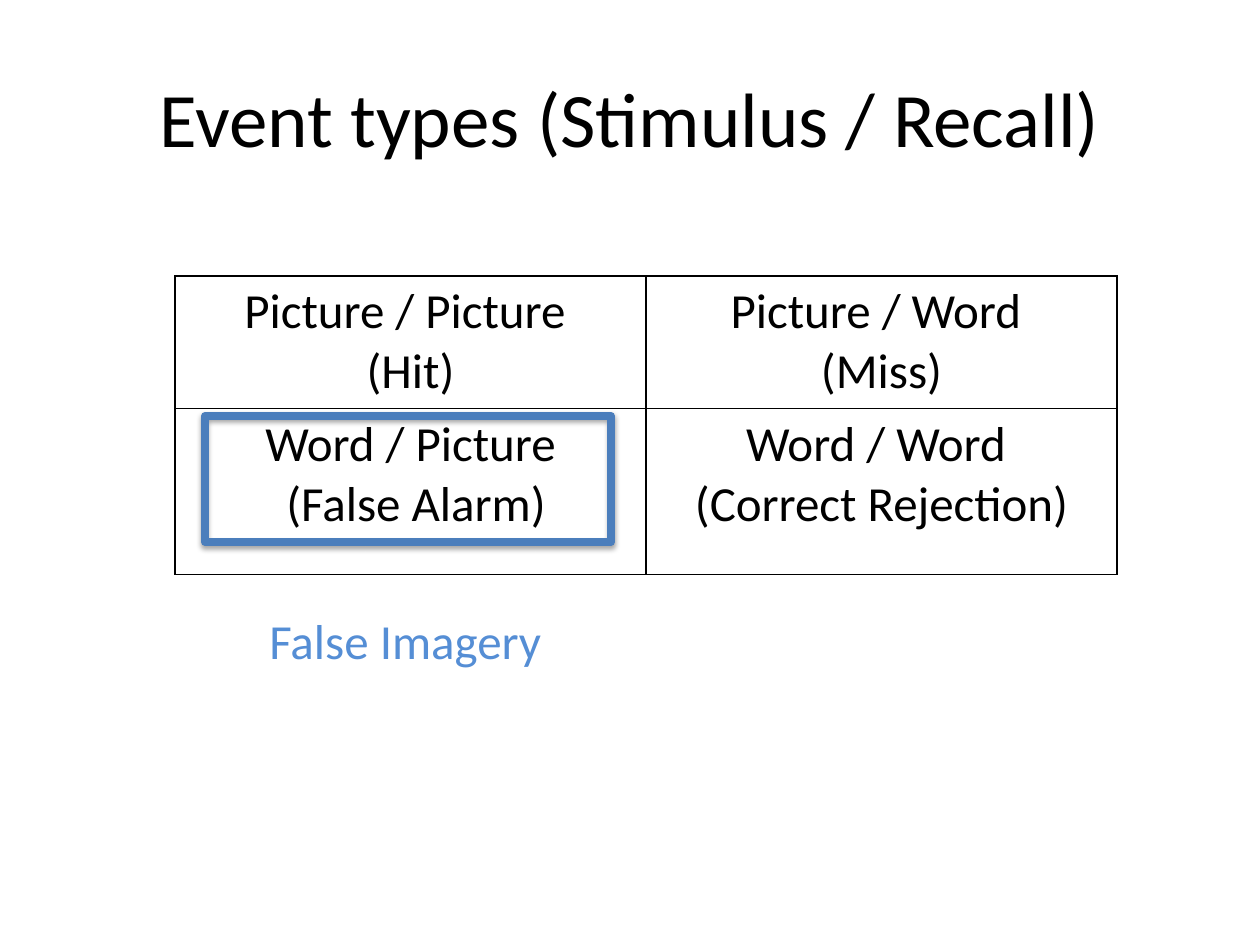
"""Build a slide with a two by two table of stimulus and recall event types."""
from lxml.etree import SubElement
from pptx import Presentation
from pptx.dml.color import RGBColor
from pptx.enum.shapes import MSO_SHAPE
from pptx.enum.text import MSO_ANCHOR, PP_ALIGN
from pptx.oxml import parse_xml
from pptx.oxml.ns import nsdecls, qn
from pptx.util import Emu, Pt

TITLE = "Event types (Stimulus / Recall)"
EVENTS = [
    [("Picture / Picture ", "(Hit)"), ("Picture / Word ", "(Miss)")],
    [("Word / Picture", " (False Alarm)"), ("Word / Word ", "(Correct Rejection)")],
]
CAPTION = "False Imagery"

FONT = "Calibri"
BLACK, FRAME_BLUE, CAPTION_BLUE = "000000", "4B7EBC", "558ED5"
TITLE_BOX = (63, 38, 1134, 157)
TABLE_LEFT, TABLE_TOP = 175, 276
COLUMN_WIDTH, ROW_HEIGHTS = 471, (132, 166)
FRAME_BOX = (205, 416, 406, 126)
CAPTION_BOX = (257, 604, 302, 72)


def px(value):
    return Emu(round(value * 914400 / 126))


def box(lengths):
    return [px(length) for length in lengths]


def color(value):
    return RGBColor.from_string(value)


def write(frame, lines, size, ink, alignment):
    frame.text = "\n".join(lines)
    for paragraph in frame.paragraphs:
        paragraph.alignment = alignment
        paragraph.font.name = FONT
        paragraph.font.size = Pt(size)
        paragraph.font.color.rgb = color(ink)


def add_borders(cell):
    properties = cell._tc.get_or_add_tcPr()
    for position, side in enumerate(("lnL", "lnR", "lnT", "lnB")):
        properties.insert(position, parse_xml(
            f'<a:{side} {nsdecls("a")} w="{Pt(1)}"><a:solidFill>'
            f'<a:srgbClr val="{BLACK}"/></a:solidFill></a:{side}>'))


def add_event_table(slide):
    table = slide.shapes.add_table(
        len(EVENTS), len(EVENTS[0]),
        *box((TABLE_LEFT, TABLE_TOP, COLUMN_WIDTH * 2, sum(ROW_HEIGHTS)))).table
    table.first_row = table.horz_banding = False
    for row, height, events in zip(table.rows, ROW_HEIGHTS, EVENTS):
        row.height = px(height)
        for cell, lines in zip(row.cells, events):
            write(cell.text_frame, lines, 28, BLACK, PP_ALIGN.CENTER)
            cell.fill.background()
            add_borders(cell)


def add_frame(slide):
    frame = slide.shapes.add_shape(MSO_SHAPE.RECTANGLE, *box(FRAME_BOX))
    frame.fill.background()
    frame.line.color.rgb = color(FRAME_BLUE)
    frame.line.width = Pt(4.5)
    frame.shadow.inherit = False
    effects = frame._element.spPr.find(qn("a:effectLst"))
    shadow = SubElement(effects, qn("a:outerShdw"), blurRad=str(Pt(3.1)),
                        dist=str(Pt(1.8)), dir="5400000", rotWithShape="0")
    shade = SubElement(shadow, qn("a:srgbClr"), val=BLACK)
    SubElement(shade, qn("a:alpha"), val="35000")


def main():
    presentation = Presentation()
    presentation.slide_width, presentation.slide_height = px(1260), px(945)
    slide = presentation.slides.add_slide(presentation.slide_layouts[5])

    title = slide.shapes.title
    title.left, title.top, title.width, title.height = box(TITLE_BOX)
    title.text_frame.vertical_anchor = MSO_ANCHOR.MIDDLE
    write(title.text_frame, [TITLE], 44, BLACK, PP_ALIGN.CENTER)

    add_event_table(slide)

    caption = slide.shapes.add_textbox(*box(CAPTION_BOX)).text_frame
    caption.word_wrap = False
    write(caption, [CAPTION], 28, CAPTION_BLUE, PP_ALIGN.LEFT)

    add_frame(slide)
    presentation.save("out.pptx")


if __name__ == "__main__":
    main()
